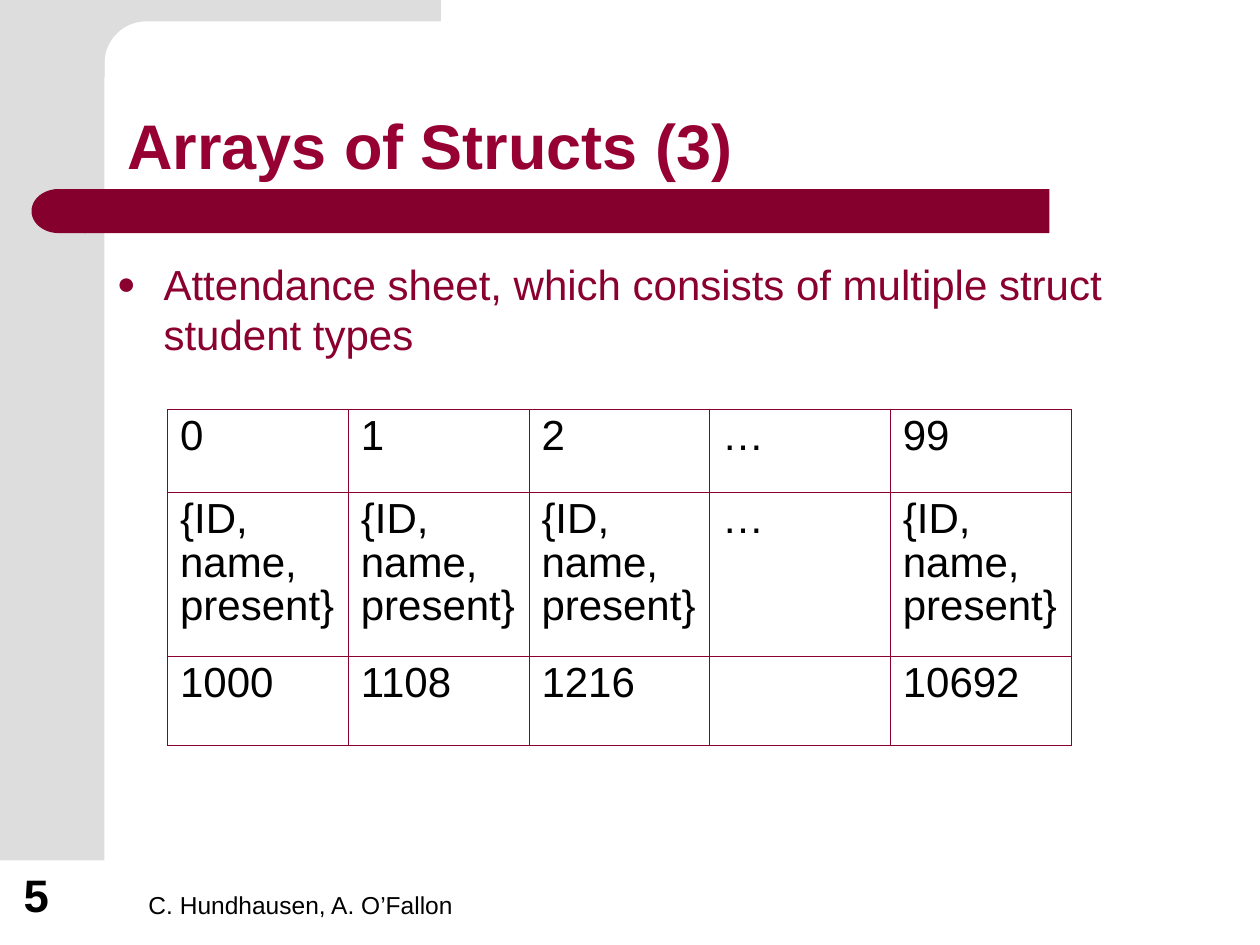
from dataclasses import dataclass
from math import cos, pi, sin

from lxml.etree import SubElement
from pptx import Presentation
from pptx.dml.color import RGBColor as RGB
from pptx.enum.shapes import MSO_SHAPE as Shape
from pptx.enum.text import MSO_ANCHOR as Anchor
from pptx.oxml.ns import qn
from pptx.util import Inches, Pt


@dataclass(frozen=True)
class Theme:
    font: str = "Arial"
    gray: str = "DDDDDD"
    bar: str = "86002D"
    title: str = "960032"
    body: str = "8A002E"
    black: str = "000000"
    title_size: int = 36
    body_size: int = 24
    number_size: int = 26
    footer_size: int = 14


theme = Theme()


def write(frame, text, size=theme.body_size, color=theme.black, bold=False,
          anchor=Anchor.TOP, spacing=None, bullet=None):
    frame.word_wrap = True
    frame.vertical_anchor = anchor
    paragraph = frame.paragraphs[0]
    if spacing:
        paragraph.line_spacing = spacing
    if bullet:
        props = paragraph._p.get_or_add_pPr()
        props.set("marL", str(Inches(0.37)))
        props.set("indent", str(Inches(-0.37)))
        bullet_color = SubElement(props, qn("a:buClr"))
        SubElement(bullet_color, qn("a:srgbClr"), val=color)
        SubElement(props, qn("a:buSzPct"), val="75000")
        SubElement(props, qn("a:buFont"), typeface=theme.font)
        SubElement(props, qn("a:buChar"), char=bullet)
    run = paragraph.add_run()
    run.text = text
    run.font.name = theme.font
    run.font.size = Pt(size)
    run.font.bold = bold
    run.font.color.rgb = RGB.from_string(color)


def paint(shape, color):
    shape.shadow.inherit = False
    shape.fill.solid()
    shape.fill.fore_color.rgb = RGB.from_string(color)
    shape.line.fill.background()


deck = Presentation()
deck.slide_width, deck.slide_height = Inches(10), Inches(7.5)
slide = deck.slides.add_slide(deck.slide_layouts[6])
shapes = slide.shapes

# Gray side band, and top band with a rounded inner corner
side_band = shapes.add_shape(Shape.RECTANGLE, 0, 0, Inches(0.83), Inches(6.83))
paint(side_band, theme.gray)

radius, corner_x, corner_y = 0.33, 1.16, 0.5
steps = 24
angles = [pi / 2 * (1 + step / steps) for step in range(steps + 1)]
curve = [(corner_x + radius * cos(a), corner_y - radius * sin(a)) for a in angles]
outline = [(3.5, 0.17), *curve, (0.83, 0.61), (0.5, 0.61), (0.5, 0)]
builder = shapes.build_freeform(Inches(3.5), 0)
builder.add_line_segments([(Inches(x), Inches(y)) for x, y in outline])
paint(builder.convert_to_shape(), theme.gray)

# Title bar with a round left end
title_bar = shapes.add_shape(Shape.RECTANGLE, Inches(0.67), Inches(1.5),
                             Inches(7.66), Inches(0.35))
bar_end = shapes.add_shape(Shape.FLOWCHART_DELAY, Inches(0.25), Inches(1.5),
                           Inches(0.43), Inches(0.35))
bar_end.rotation = 180
for part in (title_bar, bar_end):
    paint(part, theme.bar)

# Footer, slide number, title and bullet
texts = [
    ((1.08, 6.83, 3.75, 0.52), "C. Hundhausen, A. O’Fallon",
     dict(size=theme.footer_size, anchor=Anchor.BOTTOM)),
    ((0.09, 6.83, 0.64, 0.53), "5",
     dict(size=theme.number_size, bold=True, anchor=Anchor.BOTTOM)),
    ((0.91, 0.41, 8.51, 1.09), "Arrays of Structs (3)",
     dict(size=theme.title_size, color=theme.title, bold=True,
          anchor=Anchor.BOTTOM, spacing=0.9)),
    ((0.83, 2, 8.08, 4.07),
     "Attendance sheet, which consists of multiple struct student types",
     dict(color=theme.body, bullet="●")),
]
for place, text, style in texts:
    box = shapes.add_textbox(*(Inches(length) for length in place))
    write(box.text_frame, text, **style)

# Array table: index, struct, address
student = "{ID, name, present}"
rows = [
    ["0", "1", "2", "…", "99"],
    [student, student, student, "…", student],
    ["1000", "1108", "1216", "", "10692"],
]
row_heights = [0.66, 1.3, 0.71]
last_row, last_column = len(rows) - 1, len(rows[0]) - 1
array = shapes.add_table(len(rows), len(rows[0]), Inches(1.33), Inches(3.25),
                         Inches(7.17), Inches(sum(row_heights))).table
array.first_row = array.horz_banding = False
for row, height in zip(array.rows, row_heights):
    row.height = Inches(height)

for r, row_texts in enumerate(rows):
    for c, text in enumerate(row_texts):
        cell = array.cell(r, c)
        if text:
            write(cell.text_frame, text, spacing=0.93)
        # Outer borders are heavier than inner ones
        outer_sides = {"L": c == 0, "R": c == last_column,
                       "T": r == 0, "B": r == last_row}
        for side, outer in outer_sides.items():
            border = SubElement(cell._tc.get_or_add_tcPr(), qn(f"a:ln{side}"),
                                w=str(Pt(0.5 if outer else 0.23)))
            border_fill = SubElement(border, qn("a:solidFill"))
            SubElement(border_fill, qn("a:srgbClr"), val=theme.body)
        cell.fill.background()

deck.save("out.pptx")
